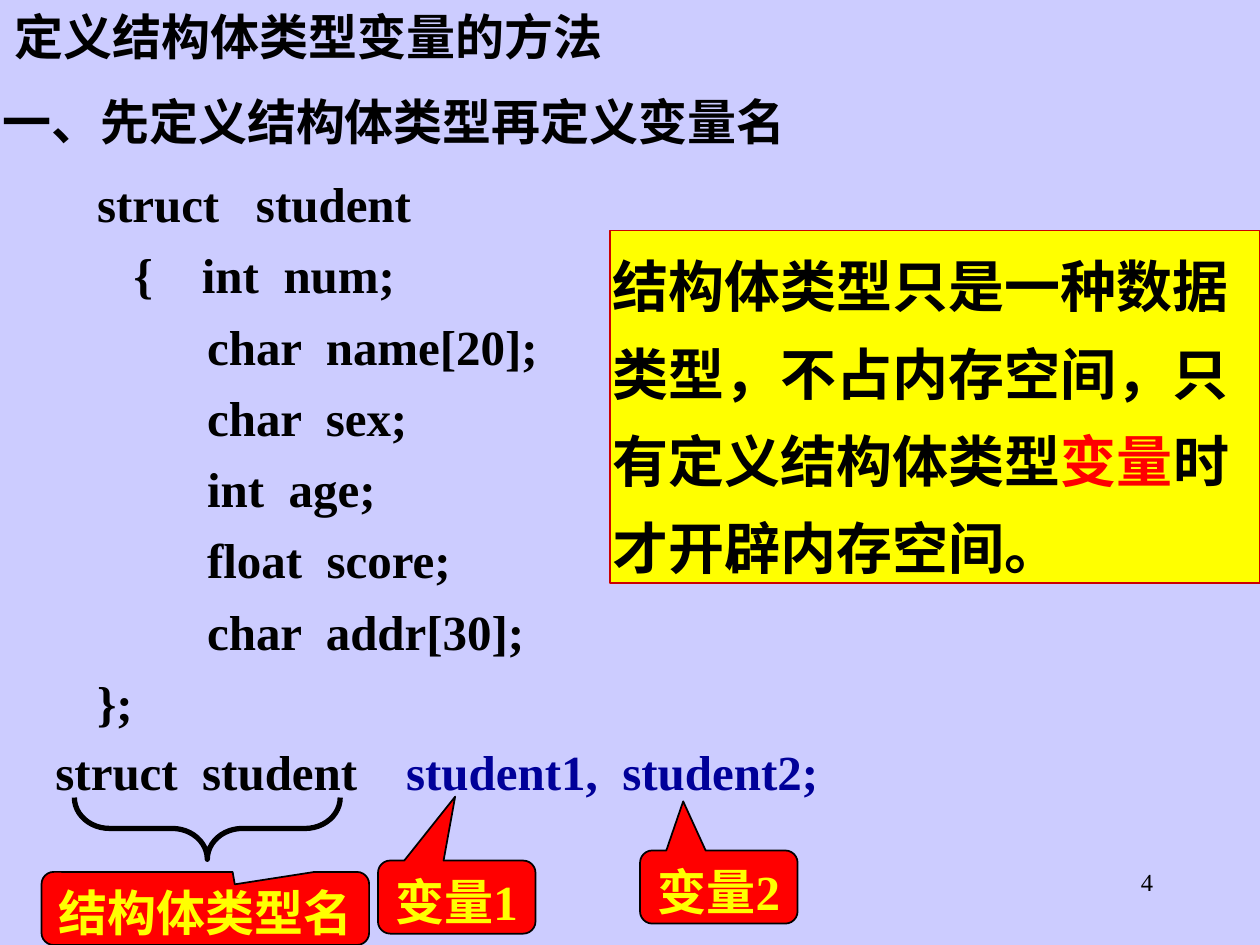
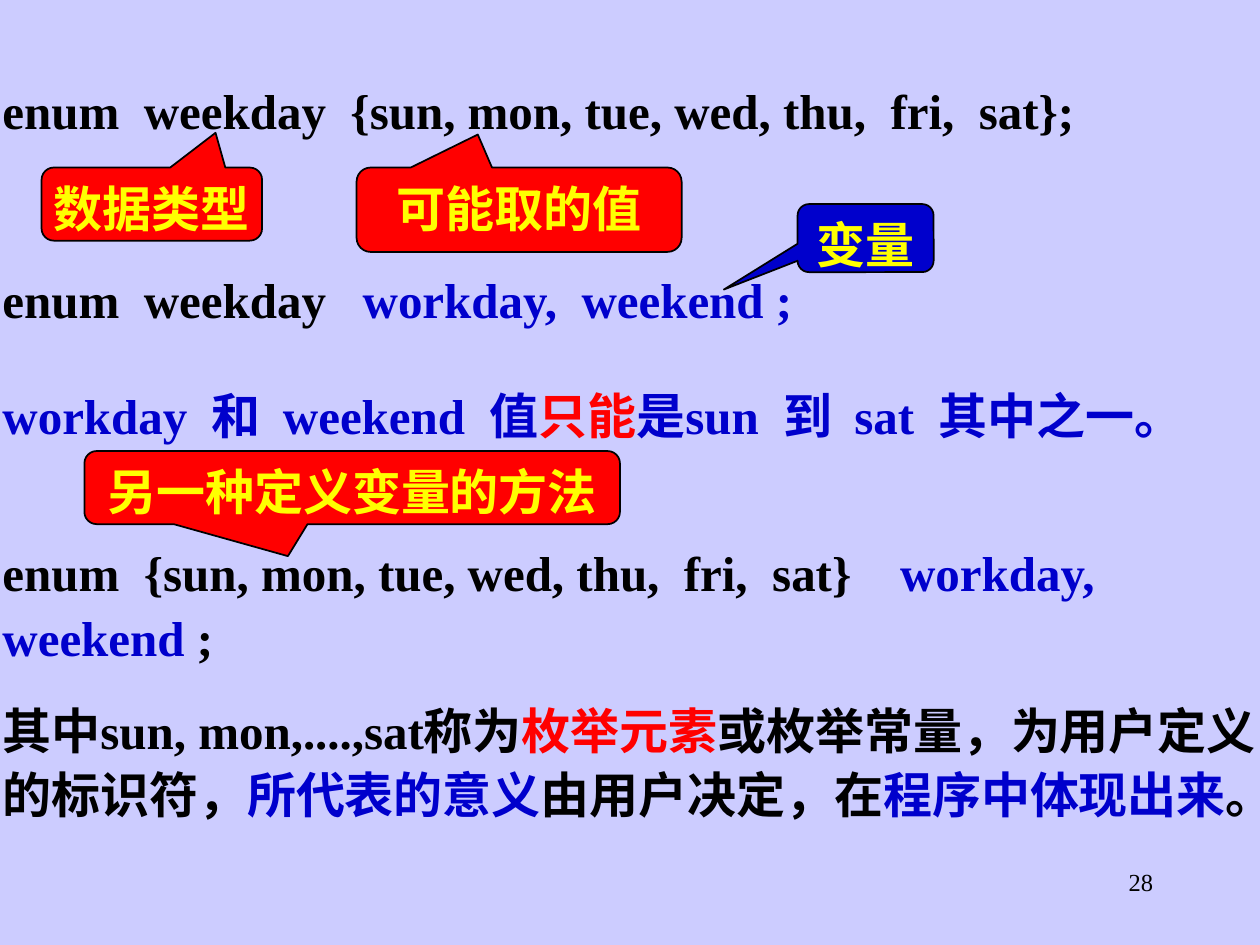
from pptx import Presentation
from pptx import util as u
from pptx.dml.color import RGBColor
from pptx.enum import shapes, text

LAVENDER = RGBColor(0xCC, 0xCC, 0xFF)
BLACK = RGBColor(0x00, 0x00, 0x00)
RED = RGBColor(0xFF, 0x00, 0x00)
DARK_RED = RGBColor(0xCC, 0x00, 0x00)
YELLOW = RGBColor(0xFF, 0xFF, 0x00)
NAVY = RGBColor(0x00, 0x00, 0x99)
BLUE = RGBColor(0x00, 0x00, 0xCC)

BODY_FONT = {"name": "Times New Roman", "size": u.Pt(28), "bold": True}
NUMBER_FONT = {"name": "Times New Roman", "size": u.Pt(14), "bold": False}
NOTE_FONT = {**BODY_FONT, "size": u.Pt(32)}

THIN_INSETS = (0.02, 0.01, 0.02, 0.01)
WIDE_INSETS = (0.1, 0.05, 0.1, 0.05)
CALLOUT_INSETS = (0, 0.01, 0, 0.01)

STRUCT_CODE = [
    "struct   student",
    "   {    int  num;",
    "         char  name[20];",
    "         char  sex;",
    "         int  age;",
    "         float  score;",
    "         char  addr[30];",
    "};",
]


def set_attributes(target, values):
    for name, value in values.items():
        setattr(target, name, value)


def inches(box):
    return [u.Inches(length) for length in box]


def write(shape, paragraphs, font=BODY_FONT, insets=THIN_INSETS, spacing=1.1,
          before=0, align=text.PP_ALIGN.LEFT, wrap=True, grow=True):
    """Fill a shape with paragraphs, each a list of (words, colour) runs."""
    frame = shape.text_frame
    sides = ("margin_left", "margin_top", "margin_right", "margin_bottom")
    set_attributes(frame, dict(zip(sides, inches(insets))))
    fit = text.MSO_AUTO_SIZE.SHAPE_TO_FIT_TEXT if grow else text.MSO_AUTO_SIZE.NONE
    set_attributes(frame, {"word_wrap": wrap, "auto_size": fit,
                           "vertical_anchor": text.MSO_ANCHOR.TOP})
    for index, runs in enumerate(paragraphs):
        paragraph = frame.add_paragraph() if index else frame.paragraphs[0]
        set_attributes(paragraph, {"alignment": align, "line_spacing": spacing,
                                   "space_before": u.Pt(before if index else 0)})
        for words, colour in runs:
            run = paragraph.add_run()
            run.text = words
            set_attributes(run.font, font)
            run.font.color.rgb = colour


def add_text(slide, box, paragraphs, **format_values):
    write(slide.shapes.add_textbox(*inches(box)), paragraphs, **format_values)


def add_outlined(slide, kind, box, fill, line, width=1):
    shape = slide.shapes.add_shape(kind, *inches(box))
    shape.shadow.inherit = False
    if fill is None:
        shape.fill.background()
    else:
        shape.fill.solid()
        shape.fill.fore_color.rgb = fill
    shape.line.color.rgb = line
    shape.line.width = u.Pt(width)
    return shape


def add_callout(slide, box, words, tip, fill=RED):
    """Draw a speech box; tip is the pointer's offset from the centre, as shares of the size."""
    callout = add_outlined(slide, shapes.MSO_SHAPE.ROUNDED_RECTANGULAR_CALLOUT,
                           box, fill, BLACK)
    for index, value in enumerate((*tip, 0.167)):
        callout.adjustments[index] = value
    write(callout, [[(words, YELLOW)]], insets=CALLOUT_INSETS,
          align=text.PP_ALIGN.CENTER, grow=False)


def add_memory_note(slide, box):
    note = add_outlined(slide, shapes.MSO_SHAPE.RECTANGLE, box, YELLOW, DARK_RED)
    write(note, [[("结构体类型只是一种数据类型，不占内存空间，只有定义结构体类型", BLACK),
                  ("变量", RED), ("时才开辟内存空间。", BLACK)]],
          font=NOTE_FONT, spacing=1.3)


def add_declaration(slide, box):
    """Place the struct declaration, the brace under its type and the three labels."""
    left, top, width, height = box
    add_text(slide, box, [[("struct  student    ", BLACK),
                           ("student1,  student2;", NAVY)]])
    add_callout(slide, (left - 0.09, top + 1.09, 2.6, 0.58), "结构体类型名", (0.09, -0.33))
    brace = add_outlined(slide, shapes.MSO_SHAPE.RIGHT_BRACE,
                         (left + 0.98, top - 0.31, 0.49, 2.11), None, BLACK, 3)
    brace.rotation = 90
    brace.adjustments[0] = 0.57
    add_callout(slide, (left + 2.58, top + 1, 1.25, 0.58), "变量1", (-0.01, -1.375))
    add_callout(slide, (left + 4.66, top + 0.92, 1.25, 0.58), "变量2", (-0.226, -1.173))


def new_slide(presentation, number):
    slide = presentation.slides.add_slide(presentation.slide_layouts[6])
    add_text(slide, (7.17, 6.83, 2.08, 0.5), [[(number, BLACK)]], font=NUMBER_FONT,
             insets=WIDE_INSETS, spacing=1.0, align=text.PP_ALIGN.RIGHT, grow=False)
    return slide


def build_struct_slide(presentation):
    slide = new_slide(presentation, "4")
    add_text(slide, (0.02, 0, 4.86, 0.57), [[("定义结构体类型变量的方法", BLACK)]],
             insets=WIDE_INSETS, spacing=1.0, wrap=False)
    add_text(slide, (0, 0.67, 9.67, 0.54), [[("一、先定义结构体类型再定义变量名", BLACK)]])
    add_text(slide, (0.75, 1.42, 4.08, 4.4), [[(line, BLACK)] for line in STRUCT_CODE],
             spacing=0.9, before=10.5)
    add_declaration(slide, (0.42, 5.83, 7.42, 0.54))
    add_memory_note(slide, (4.84, 1.83, 5.16, 2.8))


def build_enum_slide(presentation):
    slide = new_slide(presentation, "28")
    statements = [
        (0.58, 0.54, [("enum  weekday  {sun, mon, tue, wed, thu,  fri,  sat};", BLACK)]),
        (2.08, 0.54, [("enum  weekday   ", BLACK), ("workday,  weekend ;", BLUE)]),
        (3, 0.54, [("workday  和  weekend  值", BLUE), ("只能", RED),
                   ("是sun  到  sat  其中之一。", BLUE)]),
        (4.25, 1.05, [("enum  {sun, mon, tue, wed, thu,  fri,  sat}    ", BLACK),
                      ("workday,  weekend", BLUE), (" ;", BLACK)]),
        (5.5, 1.56, [("其中sun, mon,....,sat称为", BLACK), ("枚举元素", RED),
                     ("或枚举常量，为用户定义的标识符，", BLACK), ("所代表的意义", BLUE),
                     ("由用户决定，在", BLACK), ("程序中体现出来", BLUE), ("。", BLACK)]),
    ]
    for top, height, runs in statements:
        add_text(slide, (0, top, 10, height), [runs])
    callouts = [
        ((0.33, 1.33, 1.75, 0.58), "数据类型", (0.289, -0.976), RED),
        ((2.83, 1.33, 2.58, 0.67), "可能取的值", (-0.127, -0.891), RED),
        ((6.33, 1.62, 1.08, 0.54), "变量", (-1.042, 0.756), BLUE),
        ((0.67, 3.58, 4.25, 0.58), "另一种定义变量的方法", (-0.12, 0.938), RED),
    ]
    for callout in callouts:
        add_callout(slide, *callout)


def main():
    presentation = Presentation()
    presentation.slide_width = u.Inches(10)
    presentation.slide_height = u.Inches(7.5)
    background = presentation.slide_master.background.fill
    background.solid()
    background.fore_color.rgb = LAVENDER
    build_struct_slide(presentation)
    build_enum_slide(presentation)
    presentation.save("out.pptx")


if __name__ == "__main__":
    main()
